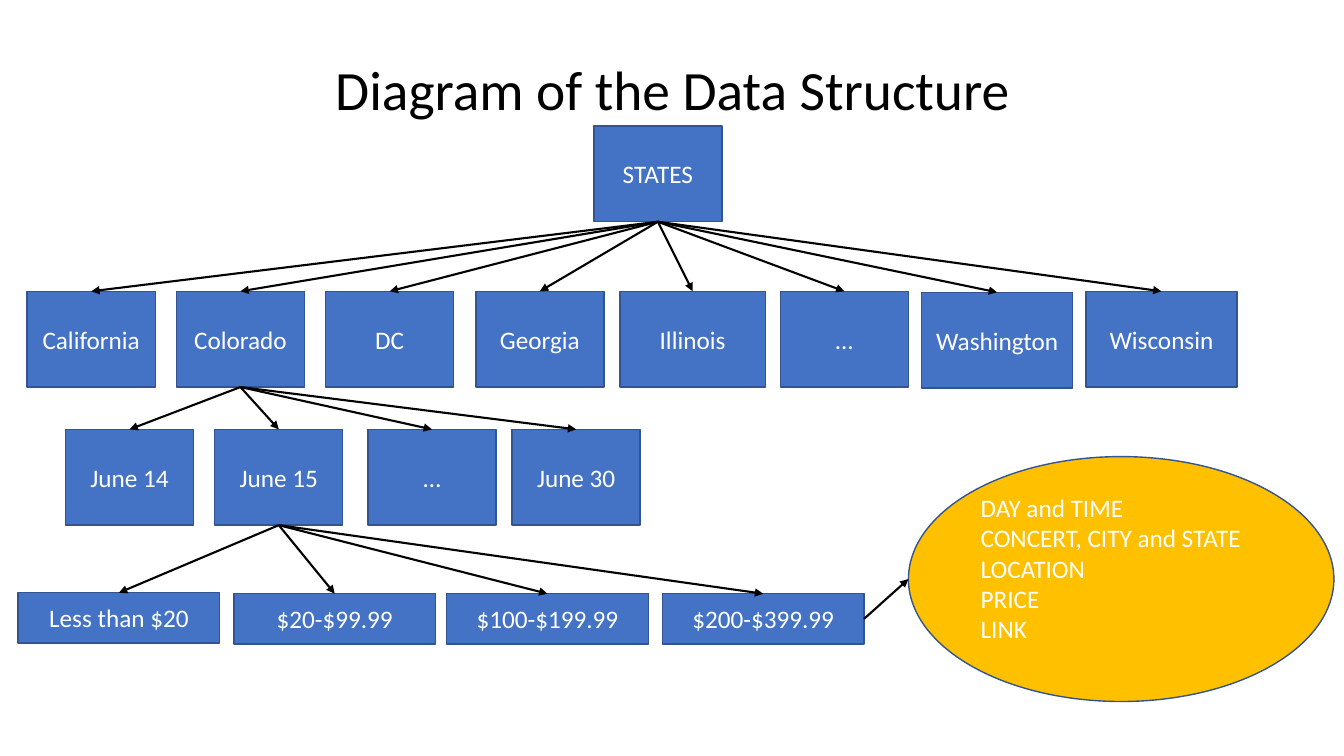
from pptx import Presentation
from pptx.dml.color import RGBColor
from pptx.enum.shapes import MSO_CONNECTOR as Connector, MSO_SHAPE as Shape
from pptx.enum.text import MSO_ANCHOR as Anchor, PP_ALIGN as Align
from pptx.oxml.ns import qn
from pptx.util import Inches, Pt
from lxml.etree import SubElement

COLORS = {"node": "4472C4", "edge": "325491", "detail": "FFC000",
          "light": "FFFFFF", "dark": "000000"}
FONT = "Calibri"
TOP, BOTTOM, RIGHT = 0, 2, 3    # connection sites of a rectangle
OVAL_LEFT = 2                   # connection site of an ellipse
NODE_WIDTH, NODE_HEIGHT = 1.27, 0.95
PRICE_WIDTH, PRICE_HEIGHT = 2, 0.5

# Each level: label, left, top and, where it differs, width
STATES = [("California", 0.27, 2.89), ("Colorado", 1.75, 2.89),
          ("DC", 3.23, 2.89), ("Georgia", 4.72, 2.89),
          ("Illinois", 6.15, 2.89, 1.44), ("…", 7.74, 2.89),
          ("Washington", 9.14, 2.9, 1.5), ("Wisconsin", 10.77, 2.89, 1.5)]
DAYS = [("June 14", 0.65, 4.26), ("June 15", 2.13, 4.26),
        ("…", 3.65, 4.26), ("June 30", 5.08, 4.26)]
PRICES = [("Less than $20", 0.18, 5.88), ("$20-$99.99", 2.32, 5.89),
          ("$100-$199.99", 4.43, 5.89), ("$200-$399.99", 6.57, 5.89)]
DETAILS = ["DAY and TIME", "CONCERT, CITY and STATE", "LOCATION", "PRICE", "LINK"]


def rgb(name):
    return RGBColor.from_string(COLORS[name])


def write(box, lines, size=18, color="light", align=Align.CENTER,
          anchor=Anchor.MIDDLE, margin=0.05, spacing=1.0):
    frame = box.text_frame
    frame.word_wrap = True
    frame.vertical_anchor = anchor
    frame.margin_top = frame.margin_bottom = Inches(margin)
    for index, line in enumerate(lines):
        para = frame.add_paragraph() if index else frame.paragraphs[0]
        para.alignment = align
        para.line_spacing = spacing
        span = para.add_run()
        span.text = line
        span.font.name = FONT
        span.font.size = Pt(size)
        span.font.color.rgb = rgb(color)


def add_box(page, kind, left, top, width, height, fill):
    box = page.shapes.add_shape(kind, *map(Inches, (left, top, width, height)))
    box.shadow.inherit = False
    box.fill.solid()
    box.fill.fore_color.rgb = rgb(fill)
    box.line.color.rgb = rgb("edge")
    box.line.width = Pt(1)
    return box


def add_node(page, label, left, top, width=NODE_WIDTH, height=NODE_HEIGHT):
    box = add_box(page, Shape.RECTANGLE, left, top, width, height, "node")
    write(box, [label])
    return box


def add_arrow(page, start, end, start_site=BOTTOM, end_site=TOP):
    arrow = page.shapes.add_connector(Connector.STRAIGHT, 0, 0, 0, 0)
    arrow.begin_connect(start, start_site)
    arrow.end_connect(end, end_site)
    arrow.line.color.rgb = rgb("dark")
    arrow.line.width = Pt(1.5)
    SubElement(arrow.line._get_or_add_ln(), qn("a:tailEnd"), type="triangle")
    SubElement(arrow._element.spPr, qn("a:effectLst"))
    return arrow


def add_level(page, parent, rows, **size):
    nodes = [add_node(page, *row, **size) for row in rows]
    for node in nodes:
        add_arrow(page, parent, node)
    return nodes


def main():
    deck = Presentation()
    deck.slide_width, deck.slide_height = Inches(13.33), Inches(7.5)
    page = deck.slides.add_slide(deck.slide_layouts[6])

    # Title
    title = page.shapes.add_textbox(*map(Inches, (0.92, 0.62, 11.5, 1.15)))
    write(title, ["Diagram of the Data Structure"], size=39.6, color="dark",
          anchor=Anchor.TOP, margin=0, spacing=0.9)

    # Tree: states, days, prices
    root = add_node(page, "STATES", 5.89, 1.25)
    states = add_level(page, root, STATES)
    days = add_level(page, states[1], DAYS)
    prices = add_level(page, days[1], PRICES,
                       width=PRICE_WIDTH, height=PRICE_HEIGHT)

    # Concert details
    oval = add_box(page, Shape.OVAL, 9.01, 4.53, 4.22, 2.43, "detail")
    write(oval, DETAILS, align=Align.LEFT, anchor=Anchor.TOP, margin=0)
    arrow = add_arrow(page, prices[-1], oval, RIGHT, OVAL_LEFT)
    arrow.end_x, arrow.end_y = oval.left, oval.top + oval.height // 2

    deck.save("out.pptx")


main()
